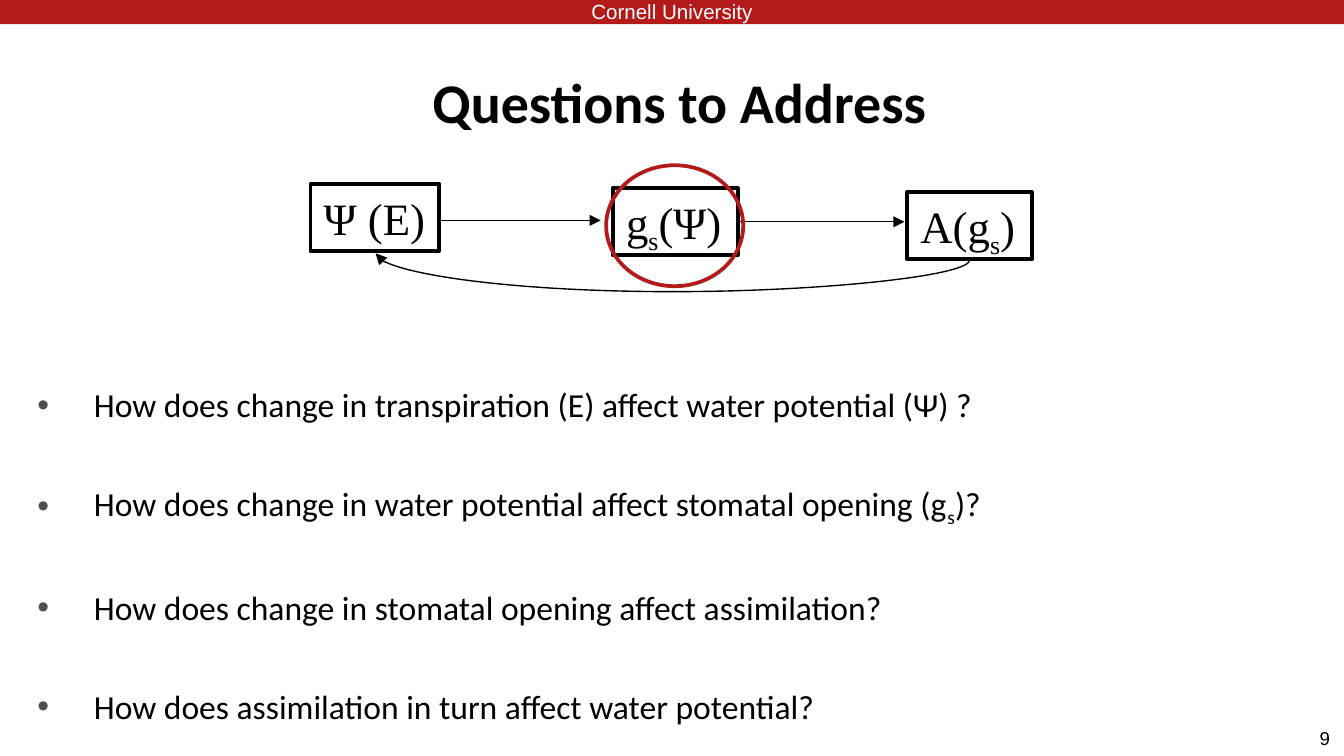
import pptx
import pptx.dml.color
import pptx.enum.shapes
import pptx.enum.text
import pptx.oxml
import pptx.oxml.ns
import pptx.util
from pptx.util import Inches

BLACK = pptx.dml.color.RGBColor(0x00, 0x00, 0x00)
WHITE = pptx.dml.color.RGBColor(0xFF, 0xFF, 0xFF)
RED = pptx.dml.color.RGBColor(0xB3, 0x1B, 0x1B)
BULLET_GREY = pptx.dml.color.RGBColor(0x4D, 0x4F, 0x53)
NS = pptx.oxml.ns.nsdecls("a")
SHAPE = pptx.enum.shapes.MSO_SHAPE
CONNECTOR = pptx.enum.shapes.MSO_CONNECTOR
ALIGN = pptx.enum.text.PP_ALIGN


def add_runs(paragraph, text, font, size, color=BLACK, bold=False):
    """Add text run by run; every second part between "_" marks is a subscript."""
    for index, part in enumerate(text.split("_")):
        run = paragraph.add_run()
        run.text = part
        run.font.name = font
        run.font.size = pptx.util.Pt(size)
        run.font.color.rgb = color
        run.font.bold = bold
        if index % 2:
            run.font._element.set("baseline", "-25000")


def add_arrow(kind, x1, y1, x2, y2):
    arrow = slide.shapes.add_connector(kind, Inches(x1), Inches(y1), Inches(x2), Inches(y2))
    arrow.line.color.rgb = BLACK
    arrow.line.width = pptx.util.Pt(0.75)
    arrow.line._get_or_add_ln().append(pptx.oxml.parse_xml(f'<a:tailEnd {NS} type="triangle"/>'))
    arrow._element.spPr.append(pptx.oxml.parse_xml(f"<a:effectLst {NS}/>"))
    return arrow


prs = pptx.Presentation()
prs.slide_width = Inches(10)
prs.slide_height = prs.slide_width * 9 // 16
slide = prs.slides.add_slide(prs.slide_layouts[6])

# Header band
band = slide.shapes.add_shape(SHAPE.RECTANGLE, 0, 0, Inches(10), Inches(0.18))
band.shadow.inherit = False
band.fill.solid()
band.fill.fore_color.rgb = RED
band.line.fill.background()

# Single-line texts: university, title, page number
for text, left, top, width, height, font, size, color, bold, align in [
    ("Cornell University", 3.96, -0.06, 2.08, 0.29, "Arial", 11, WHITE, False, ALIGN.CENTER),
    ("Questions to Address", 0.31, 0.51, 9.49, 0.49, "Calibri", 30, BLACK, True, ALIGN.CENTER),
    ("9", 9.72, 5.36, 0.28, 0.27, "Arial", 10, BLACK, False, ALIGN.LEFT),
]:
    label = slide.shapes.add_textbox(Inches(left), Inches(top), Inches(width), Inches(height))
    label.text_frame.word_wrap = True
    label.text_frame.vertical_anchor = pptx.enum.text.MSO_ANCHOR.MIDDLE
    label.text_frame.paragraphs[0].alignment = align
    add_runs(label.text_frame.paragraphs[0], text, font, size, color, bold)

# Questions
questions = slide.shapes.add_textbox(Inches(0.1), Inches(2.81), Inches(9.81), Inches(2.31))
questions.text_frame.word_wrap = True
for index, question in enumerate([
    "How does change in transpiration (E) affect water potential (Ψ) ?",
    "How does change in water potential affect stomatal opening (g_s_)?",
    "How does change in stomatal opening affect assimilation?",
    "How does assimilation in turn affect water potential?",
]):
    if index:
        paragraph = questions.text_frame.add_paragraph()
        paragraph.space_before = pptx.util.Pt(31.2)
    else:
        paragraph = questions.text_frame.paragraphs[0]
    properties = paragraph._p.get_or_add_pPr()
    properties.set("marL", str(Inches(0.5)))
    properties.set("indent", str(Inches(-0.42)))
    for bullet in (
        f'<a:buClr {NS}><a:srgbClr val="{BULLET_GREY}"/></a:buClr>',
        f'<a:buFont {NS} typeface="Arial"/>',
        f'<a:buChar {NS} char="•"/>',
    ):
        properties.append(pptx.oxml.parse_xml(bullet))
    add_runs(paragraph, question, "Calibri", 18)

# Feedback loop: arrows lie behind the boxes
add_arrow(CONNECTOR.STRAIGHT, 3.24, 1.64, 4.47, 1.64)
to_assimilation = add_arrow(CONNECTOR.STRAIGHT, 5.49, 1.65, 6.73, 1.65)

variables = []
for text, left, top, width in [
    ("Ψ (E)", 2.31, 1.37, 0.96),
    ("A(g_s_)", 6.75, 1.43, 0.93),
    ("g_s_(Ψ)", 4.56, 1.4, 0.93),
]:
    variable = slide.shapes.add_shape(
        SHAPE.RECTANGLE, Inches(left), Inches(top), Inches(width), Inches(0.5))
    variable.shadow.inherit = False
    variable.fill.solid()
    variable.fill.fore_color.rgb = WHITE
    variable.line.color.rgb = BLACK
    variable.line.width = pptx.util.Pt(2)
    variable.text_frame.word_wrap = False
    variable.text_frame.vertical_anchor = pptx.enum.text.MSO_ANCHOR.TOP
    variable.text_frame.paragraphs[0].alignment = ALIGN.LEFT
    add_runs(variable.text_frame.paragraphs[0], text, "Times New Roman", 24)
    variables.append(variable)
potential, assimilation, conductance = variables
to_assimilation.begin_connect(conductance, 3)

# The return curve is laid out upright, then turned a quarter so that it bows below the boxes
feedback = add_arrow(CONNECTOR.CURVE, 5.03, -0.3, 4.98, 4.12)
feedback._element.spPr.xfrm.set("rot", "5400000")
feedback._element.spPr.prstGeom.get_or_add_avLst().append(
    pptx.oxml.parse_xml(f'<a:gd {NS} name="adj1" fmla="val -470500"/>'))

highlight = slide.shapes.add_shape(
    SHAPE.OVAL, Inches(4.51), Inches(1.23), Inches(1.02), Inches(0.9))
highlight.shadow.inherit = False
highlight.fill.background()
highlight.line.color.rgb = RED
highlight.line.width = pptx.util.Pt(2)

prs.save("out.pptx")
